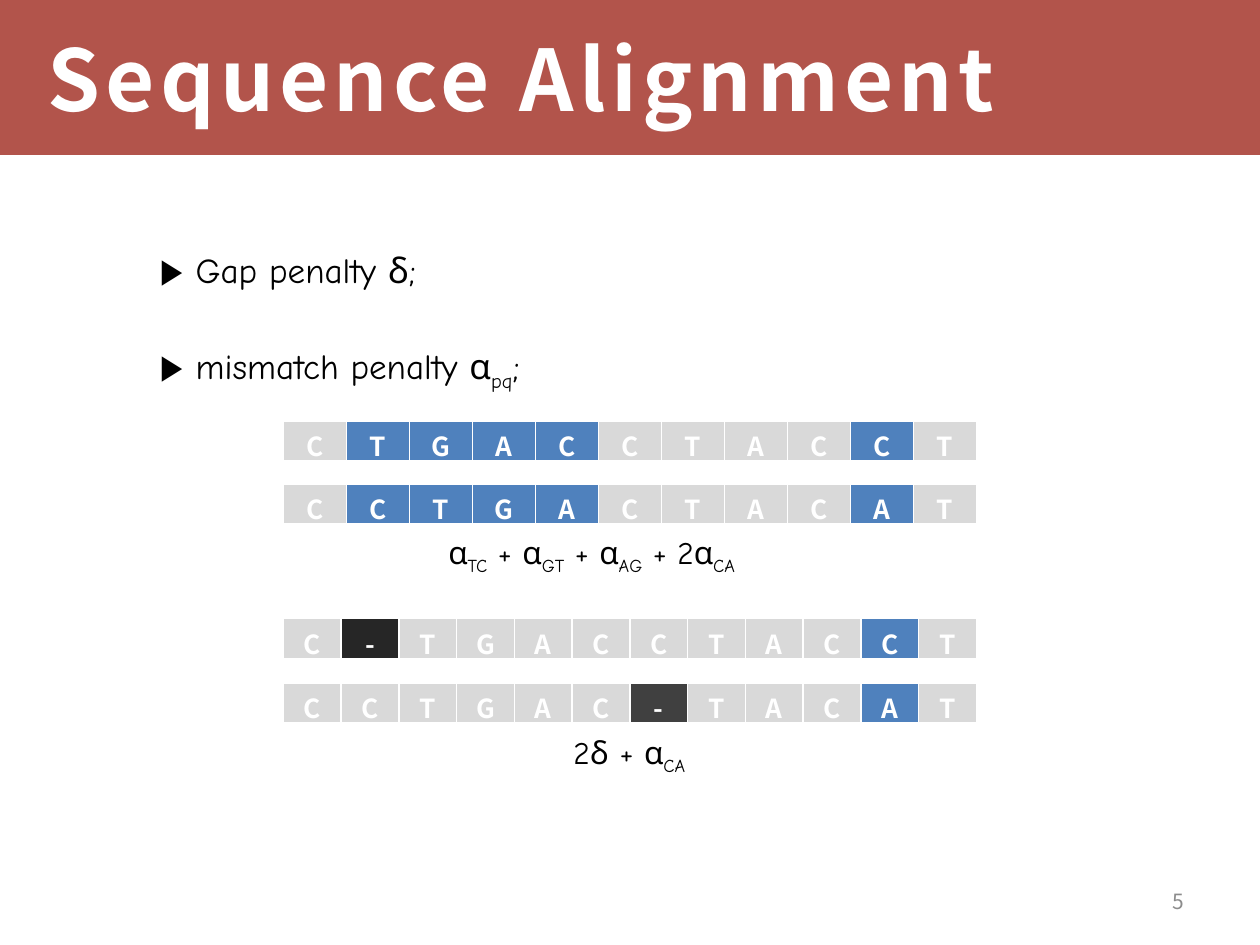
from lxml.etree import SubElement
from pptx import Presentation
from pptx.dml.color import RGBColor
from pptx.enum.shapes import MSO_SHAPE as Shape
from pptx.enum.text import MSO_ANCHOR as Anchor, PP_ALIGN as Align
from pptx.oxml.ns import qn
from pptx.util import Inches, Pt

UNIT = 0.25  # grid step in inches: 40 columns by 30 rows
COLUMNS, ROWS = 40, 30


def color(value):
    return RGBColor.from_string(value)


def grid(*steps):
    return [Inches(step * UNIT) for step in steps]


class SlideBuilder:
    heading_font, body_font = "Noto Sans CJK KR", "Comic Neue"
    white, black, band_red = "FFFFFF", "000000", "9B1F13"
    # Cell fills: matching, mismatched, gap above, gap below
    fills = {".": "D9D9D9", "x": "4F81BD", "g": "262626", "h": "404040"}

    def __init__(self, deck):
        self.slide = deck.slides.add_slide(deck.slide_layouts[6])

    def band(self, area, opacity):
        shape = self.slide.shapes.add_shape(Shape.RECTANGLE, *grid(*area))
        shape.shadow.inherit = False
        shape.fill.solid()
        shape.fill.fore_color.rgb = color(self.band_red)
        shape.line.fill.background()
        fill_color = shape.fill._xPr.find(qn("a:solidFill"))[0]
        SubElement(fill_color, qn("a:alpha"), val=str(opacity * 1000))

    def box(self, area, anchor=Anchor.TOP):
        frame = self.slide.shapes.add_textbox(*grid(*area)).text_frame
        frame.word_wrap = True
        frame.vertical_anchor = anchor
        return frame

    def run(self, para, text, size, font=body_font, fill=black, bold=False):
        span = para.add_run()
        span.text = text
        span.font.name, span.font.size, span.font.bold = font, Pt(size), bold
        span.font.color.rgb = color(fill)
        return span

    def formula(self, para, parts, size):
        """Odd parts are subscripts of the parts before them."""
        for index, part in enumerate(parts):
            span = self.run(para, part, size)
            if index % 2:
                span.font._element.set("baseline", "-25000")

    def title(self, area, text):
        para = self.box(area, Anchor.MIDDLE).paragraphs[0]
        span = self.run(para, text, 48.5, self.heading_font, self.white, True)
        span.font._element.set("spc", "300")

    def page_number(self, area, text):
        para = self.box(area, Anchor.MIDDLE).paragraphs[0]
        para.alignment = Align.RIGHT
        self.run(para, text, 12, self.heading_font, "8C8C8C")

    def bullets(self, area, items):
        frame = self.box(area)
        for index, parts in enumerate(items):
            para = frame.add_paragraph() if index else frame.paragraphs[0]
            para.alignment = Align.JUSTIFY
            para.space_before = Pt(31 if index else 4)
            para._p.get_or_add_pPr().set("marL", str(Inches(0.5)))
            self.run(para, "▶ ", 20, bold=True)
            self.formula(para, parts, 20)

    def cost(self, area, parts, align):
        para = self.box(area).paragraphs[0]
        para.alignment = align
        self.formula(para, parts, 18)

    def borders(self, cell):
        properties = cell._tc.get_or_add_tcPr()
        for index, (side, width) in enumerate(
                [("L", 1), ("R", 1), ("T", 1), ("B", 3)]):
            line = properties.makeelement(qn(f"a:ln{side}"), w=str(Pt(width)))
            fill = SubElement(line, qn("a:solidFill"))
            SubElement(fill, qn("a:srgbClr"), val=self.white)
            properties.insert(index, line)

    def sequence(self, area, letters, marks, bottom):
        table = self.slide.shapes.add_table(
            1, len(letters), *grid(*area)).table
        table.first_row = table.horz_banding = False
        for column in table.columns:
            column.width = Inches(area[2] * UNIT / len(letters))
        for cell, letter, mark in zip(table.iter_cells(), letters, marks):
            cell.margin_left = cell.margin_right = Inches(0.08)
            cell.margin_top, cell.margin_bottom = Inches(0.04), Inches(bottom)
            cell.fill.solid()
            cell.fill.fore_color.rgb = color(self.fills[mark])
            self.borders(cell)
            para = cell.text_frame.paragraphs[0]
            para.alignment = Align.CENTER
            self.run(para, letter, 15, self.heading_font, self.white, True)


def main():
    deck = Presentation()
    deck.slide_width, deck.slide_height = grid(COLUMNS, ROWS)
    page = SlideBuilder(deck)

    # Header and page number
    page.band((0, 0, COLUMNS, 4.92), 76)
    page.title((1.12, 0, 37.8, 4.92), "Sequence Alignment")
    page.page_number((28.68, 27.8, 9.32, 1.6), "5")

    # Penalty definitions
    page.bullets((2.68, 7.68, 36, 20.88), [
        ["Gap penalty δ;"],
        ["mismatch penalty α", "pq", ";"],
    ])

    # Aligned pairs: row, letters, marks, bottom margin of the cells
    for row, letters, marks, bottom in [
        (13.36, "CTGACCTACCT", ".xxxx....x.", 0.04),
        (15.36, "CCTGACTACAT", ".xxxx....x.", 0.04),
        (19.64, "C-TGACCTACCT", ".g........x.", 0),
        (21.68, "CCTGAC-TACAT", "......h...x.", 0),
    ]:
        page.sequence((9, row, 22, 1.32), letters, marks, bottom)

    # Cost of each alignment
    page.cost((13.84, 16.72, 11.64, 1.6),
              ["α", "TC", " + α", "GT", " + α", "AG", " + 2α", "CA"],
              Align.LEFT)
    page.cost((14.16, 23.08, 11.64, 1.6), ["2δ + α", "CA"], Align.CENTER)

    deck.save("out.pptx")


if __name__ == "__main__":
    main()
